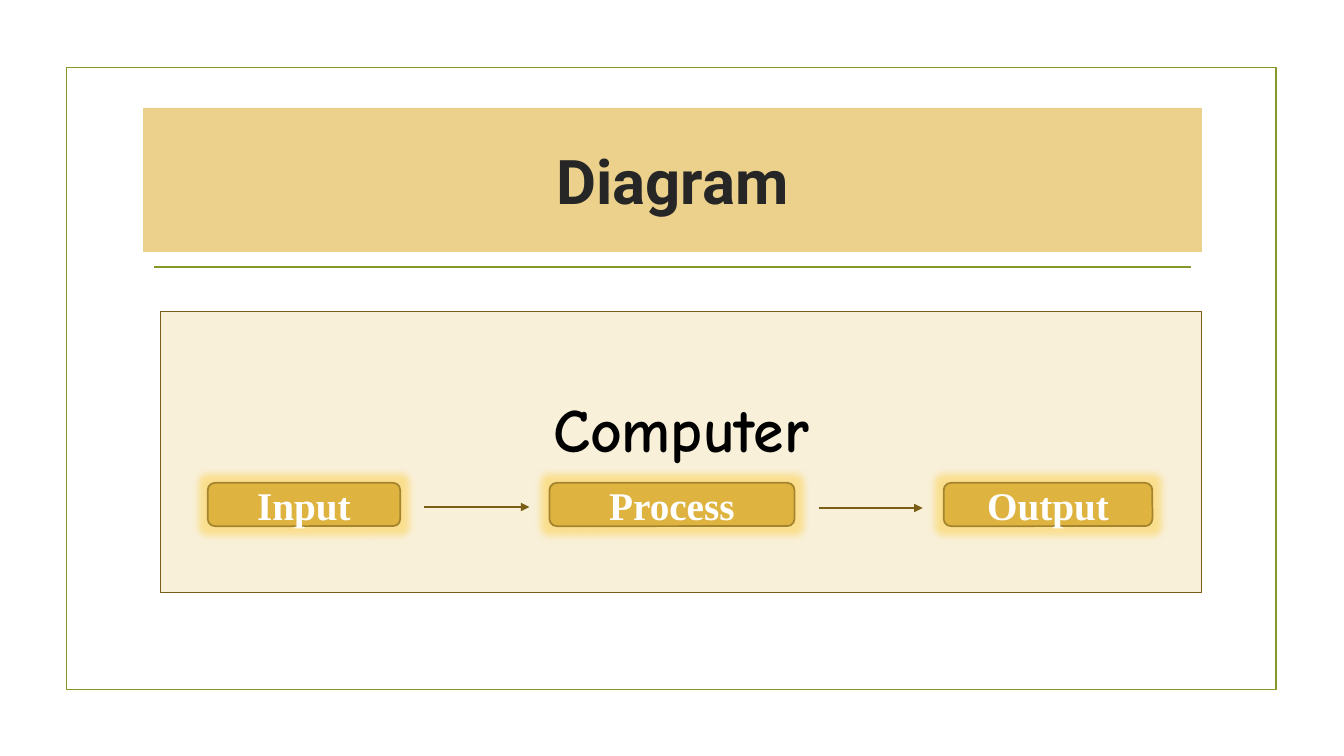
from dataclasses import dataclass

from lxml import etree
from pptx import Presentation
from pptx.dml.color import RGBColor
from pptx.enum import shapes, text
from pptx.oxml import ns
from pptx.util import Inches, Pt

COLOURS = {
    "frame": "83992A",
    "banner": "EBD18C",
    "title": "262626",
    "panel": "F8F0D9",
    "panel_edge": "7A5E15",
    "heading": "000000",
    "stage": "DEB340",
    "stage_edge": "A4842F",
    "stage_text": "FFFFFF",
    "glow": "FFC61E",
}
STAGE_TOP, STAGE_HEIGHT = 4.79, 0.43


@dataclass
class Stage:
    label: str
    left: float
    width: float


@dataclass
class Line:
    start: float
    end: float
    top: float
    colour: str
    weight: float
    arrow: bool = False


STAGES = [
    Stage("Input", 2.06, 1.91),
    Stage("Process", 5.45, 2.43),
    Stage("Output", 9.36, 2.07),
]
LINES = [
    Line(1.53, 11.81, 2.65, "frame", 1.25),
    Line(4.21, 5.25, 5.03, "panel_edge", 0.75, arrow=True),
    Line(8.12, 9.15, 5.04, "panel_edge", 0.75, arrow=True),
]


def rgb(name: str) -> RGBColor:
    return RGBColor.from_string(COLOURS[name])


def add_box(page, left: float, top: float, width: float, height: float, *,
            fill: str = "", edge: str = "", weight: float = 1.25,
            kind=shapes.MSO_SHAPE.RECTANGLE):
    box = page.shapes.add_shape(
        kind, Inches(left), Inches(top), Inches(width), Inches(height))
    box.shadow.inherit = False
    if fill:
        box.fill.solid()
        box.fill.fore_color.rgb = rgb(fill)
    else:
        box.fill.background()
    if edge:
        box.line.color.rgb = rgb(edge)
        box.line.width = Pt(weight)
    else:
        box.line.fill.background()
    return box


def write(box, words: str, *, font: str, size: float, colour: str,
          anchor=text.MSO_ANCHOR.MIDDLE, inset: float = 0.05) -> None:
    frame = box.text_frame
    frame.word_wrap = True
    frame.vertical_anchor = anchor
    frame.margin_top = Inches(inset)
    para = frame.paragraphs[0]
    para.alignment = text.PP_ALIGN.CENTER
    span = para.add_run()
    span.text = words
    span.font.name = font
    span.font.size = Pt(size)
    span.font.bold = True
    span.font.color.rgb = rgb(colour)


def add_glow(box, radius: float) -> None:
    effects = box._element.spPr.find(ns.qn("a:effectLst"))
    glow = etree.SubElement(effects, ns.qn("a:glow"), rad=str(Inches(radius)))
    tint = etree.SubElement(glow, ns.qn("a:srgbClr"), val=COLOURS["glow"])
    etree.SubElement(tint, ns.qn("a:alpha"), val="40000")


def add_line(page, line: Line) -> None:
    connector = page.shapes.add_connector(
        shapes.MSO_CONNECTOR.STRAIGHT, Inches(line.start), Inches(line.top),
        Inches(line.end), Inches(line.top))
    connector.line.color.rgb = rgb(line.colour)
    connector.line.width = Pt(line.weight)
    if line.arrow:
        etree.SubElement(connector.line._get_or_add_ln(),
                         ns.qn("a:tailEnd"), type="triangle")
    etree.SubElement(connector._element.spPr, ns.qn("a:effectLst"))


def main() -> None:
    deck = Presentation()
    deck.slide_width, deck.slide_height = Inches(13.33), Inches(7.5)
    page = deck.slides.add_slide(deck.slide_layouts[6])

    # Frame and title banner
    add_box(page, 0.66, 0.67, 12, 6.17, edge="frame")
    banner = add_box(page, 1.42, 1.07, 10.5, 1.43, fill="banner")
    write(banner, "Diagram", font="Roboto", size=44, colour="title")

    # Computer panel
    panel = add_box(page, 1.59, 3.09, 10.33, 2.79, fill="panel",
                    edge="panel_edge", weight=0.75)
    write(panel, "Computer", font="Comic Neue", size=44, colour="heading",
          anchor=text.MSO_ANCHOR.TOP, inset=0.79)

    # Glowing stages
    for stage in STAGES:
        box = add_box(page, stage.left, STAGE_TOP, stage.width, STAGE_HEIGHT,
                      fill="stage", edge="stage_edge",
                      kind=shapes.MSO_SHAPE.ROUNDED_RECTANGLE)
        add_glow(box, 0.15)
        write(box, stage.label, font="Times New Roman", size=28,
              colour="stage_text")

    # Title rule and arrows
    for line in LINES:
        add_line(page, line)

    deck.save("out.pptx")


if __name__ == "__main__":
    main()
